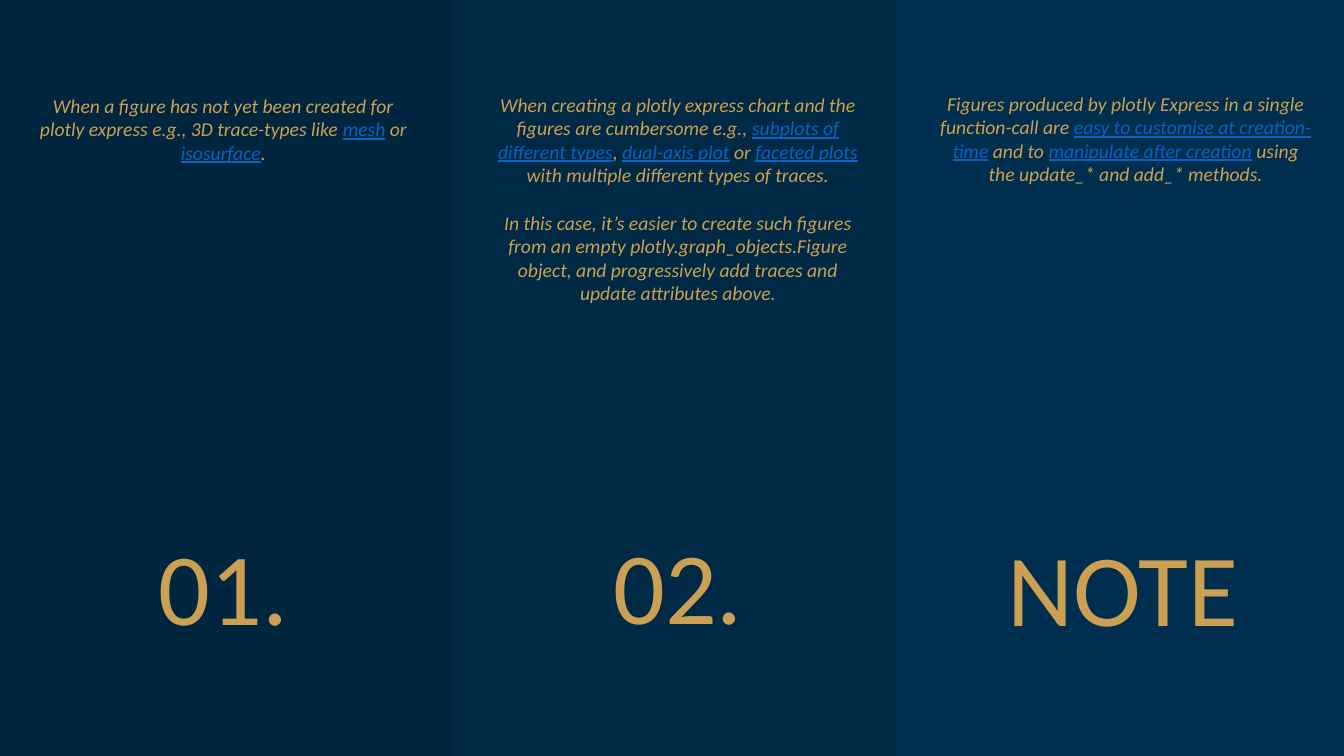
from typing import NamedTuple

from pptx import Presentation
from pptx import util as u
from pptx.dml.color import RGBColor
from pptx.enum import shapes, text

BACKGROUND = RGBColor(0x22, 0x22, 0x23)
GOLD = RGBColor(0xCB, 0xA0, 0x52)
LINK_BLUE = RGBColor(0x05, 0x63, 0xC1)
NAVY_DARK = RGBColor(0x00, 0x25, 0x3E)
NAVY_MID = RGBColor(0x00, 0x29, 0x45)
NAVY_LIGHT = RGBColor(0x00, 0x2E, 0x4E)

FONT = "Calibri"
HEADING_SIZE, BODY_SIZE, PARAGRAPH_GAP = u.Pt(73), u.Pt(14), u.Pt(17)
WIDTH, HEIGHT = u.Inches(13.33), u.Inches(7.5)


class Box(NamedTuple):
    """Left, top, width and height in percent of the slide."""
    left: float
    top: float
    width: float
    height: float

    def emu(self) -> tuple[int, ...]:
        sides = (WIDTH, HEIGHT, WIDTH, HEIGHT)
        return tuple(round(side * share / 100) for side, share in zip(sides, self))


class Panel(NamedTuple):
    """A column; in each body paragraph every second piece is a link."""
    color: RGBColor
    left: float
    right: float
    heading: str
    heading_box: Box
    body: list[list[str]]
    body_box: Box


PANELS = [
    Panel(NAVY_DARK, 0, 33.76, "01.", Box(5.33, 68.53, 22.58, 17.73), [
        ["When a figure has not yet been created for plotly express e.g., "
         "3D trace-types like ", "mesh", " or ", "isosurface", "."],
    ], Box(2.03, 11.73, 29.18, 10.8)),
    Panel(NAVY_MID, 33.76, 66.69, "02.", Box(39.46, 68.4, 21.98, 17.73), [
        ["When creating a plotly express chart and the figures are cumbersome e.g., ",
         "subplots of different types", ", ", "dual-axis plot", " or ",
         "faceted plots", " with multiple different types of traces."],
        ["In this case, it’s easier to create such figures from an empty "
         "plotly.graph_objects.Figure object, and progressively add traces "
         "and update attributes above."],
    ], Box(36.23, 11.6, 28.43, 29.6)),
    Panel(NAVY_LIGHT, 66.69, 100, "NOTE", Box(70.59, 68.67, 25.88, 17.73), [
        ["Figures produced by plotly Express in a single function-call are ",
         "easy to customise at creation-time", " and to ",
         "manipulate after creation", " using the update_* and add_* methods."],
    ], Box(69.17, 11.47, 29.18, 13.87)),
]


def add_text(slide, box: Box, fill: RGBColor, paragraphs: list[list[str]],
             size: int, italic: bool = False) -> None:
    sp = slide.shapes.add_textbox(*box.emu())
    sp.fill.solid()
    sp.fill.fore_color.rgb = fill
    tf = sp.text_frame
    tf.word_wrap = True
    tf.auto_size = text.MSO_AUTO_SIZE.SHAPE_TO_FIT_TEXT
    for number, pieces in enumerate(paragraphs):
        p = tf.add_paragraph() if number else tf.paragraphs[0]
        p.alignment = text.PP_ALIGN.CENTER
        if number:
            p.space_before = PARAGRAPH_GAP
        for index, piece in enumerate(pieces):
            is_link = index % 2 == 1
            r = p.add_run()
            r.text = piece
            r.font.name = FONT
            r.font.size = size
            r.font.italic = italic
            r.font.underline = is_link
            r.font.color.rgb = LINK_BLUE if is_link else GOLD


def add_panel(slide, panel: Panel) -> None:
    column = Box(panel.left, 0, panel.right - panel.left, 100)
    sp = slide.shapes.add_shape(shapes.MSO_SHAPE.RECTANGLE, *column.emu())
    sp.shadow.inherit = False
    sp.fill.solid()
    sp.fill.fore_color.rgb = panel.color
    sp.line.fill.background()
    add_text(slide, panel.heading_box, panel.color, [[panel.heading]], HEADING_SIZE)
    add_text(slide, panel.body_box, panel.color, panel.body, BODY_SIZE, italic=True)


def main() -> None:
    prs = Presentation()
    prs.slide_width, prs.slide_height = WIDTH, HEIGHT
    slide = prs.slides.add_slide(prs.slide_layouts[6])
    slide.background.fill.solid()
    slide.background.fill.fore_color.rgb = BACKGROUND
    for panel in PANELS:
        add_panel(slide, panel)
    prs.save("out.pptx")


if __name__ == "__main__":
    main()
